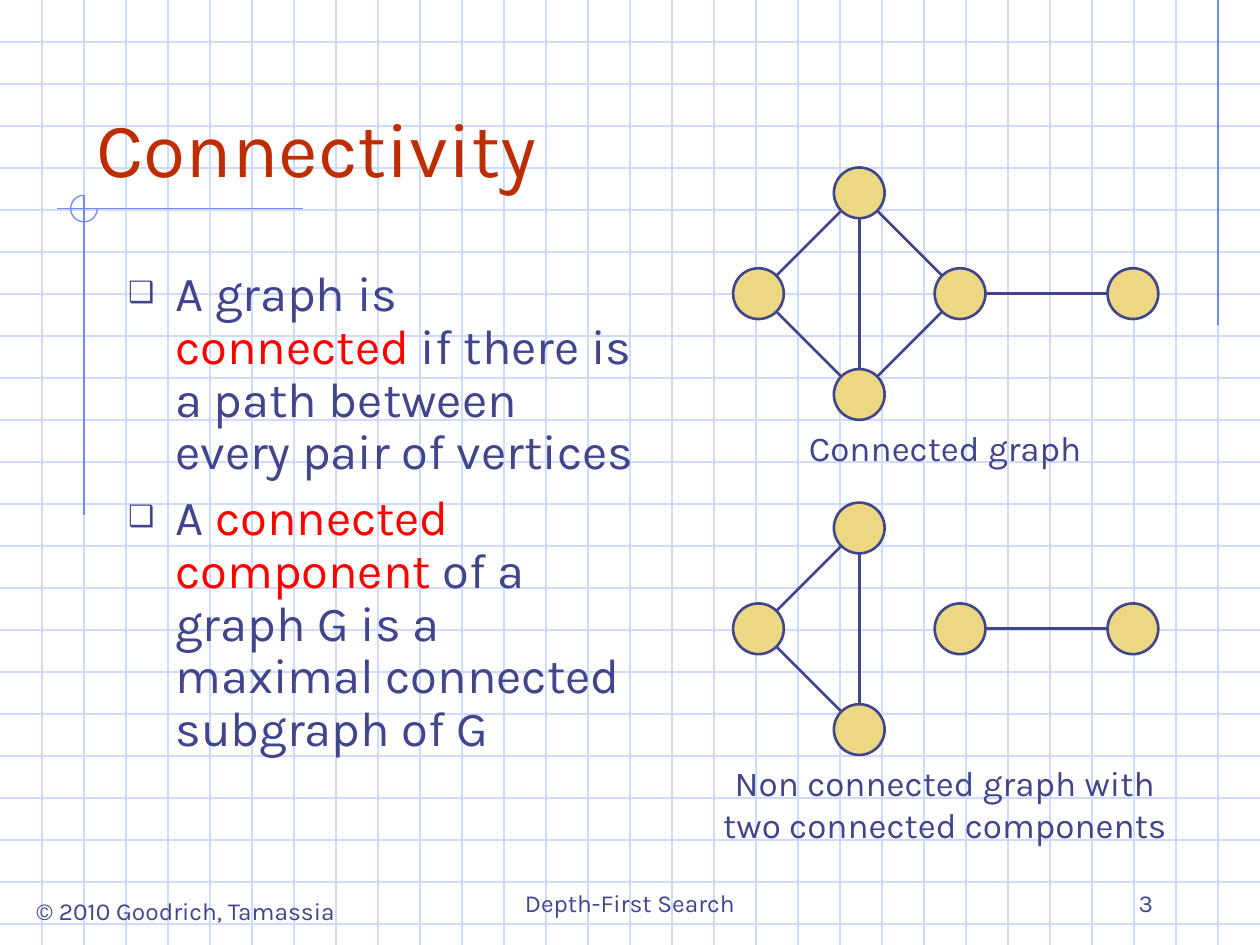
import math

import pptx
import pptx.util
from pptx.dml.color import RGBColor
from pptx.enum.shapes import MSO_CONNECTOR, MSO_SHAPE
from pptx.enum.text import MSO_ANCHOR, MSO_AUTO_SIZE, PP_ALIGN
from pptx.oxml.ns import qn
from lxml import etree

Pt = pptx.util.Pt

INK = RGBColor(0x40, 0x45, 0x8C)
TITLE_RED = RGBColor(0xBE, 0x2D, 0x00)
TERM_RED = RGBColor(0xFF, 0x00, 0x00)
GRID_BLUE = RGBColor(0xCF, 0xDB, 0xFD)
ACCENT_BLUE = RGBColor(0x6F, 0x89, 0xF7)
VERTEX_GOLD = RGBColor(0xEC, 0xD8, 0x82)
FONT = "Karla"

WIDTH, HEIGHT, GRID_STEP = 720, 540, 24

TITLE = "Connectivity"
# Each bullet is a list of (text, colour) runs.
BULLETS = [
    [("A graph is ", INK), ("connected", TERM_RED),
     (" if there is a path between every pair of vertices", INK)],
    [("A ", INK), ("connected component", TERM_RED),
     (" of a graph G is a maximal connected subgraph of G", INK)],
]

ACCENT_LINES = [
    ((696, 0), (696, 186)),
    ((173, 119.3), (32.4, 119.3)),
    ((48, 111.6), (48, 294.5)),
]
ACCENT_CENTRE, ACCENT_RADIUS = (48, 119.2), 7.6

RADIUS = 14.5
VERTICES = {
    "right": (548.6, 167.8),
    "left": (433.4, 167.8),
    "top": (491, 110.2),
    "bottom": (491, 225.4),
    "far": (647.4, 167.8),
}
# (vertical offset, edges)
GRAPHS = [
    (0, [("top", "left"), ("bottom", "left"), ("bottom", "right"),
         ("top", "right"), ("top", "bottom"), ("right", "far")]),
    (191.5, [("top", "left"), ("bottom", "left"), ("top", "bottom"),
             ("right", "far")]),
]

MIDDLE = {"alignment": PP_ALIGN.CENTER}
RIGHT = {"alignment": PP_ALIGN.RIGHT}
FOOTER = {"vertical_anchor": MSO_ANCHOR.BOTTOM, "word_wrap": True}
CAPTION = {"word_wrap": True, "auto_size": MSO_AUTO_SIZE.SHAPE_TO_FIT_TEXT}
# (text, (left, top, width, height), size, frame format, paragraph format)
LABELS = [
    ("© 2010 Goodrich, Tamassia", (8.6, 508.3, 195, 24.5), 14,
     {"word_wrap": False}, MIDDLE),
    ("Depth-First Search", (246, 492, 228, 36), 14, FOOTER, MIDDLE),
    ("3", (516, 492, 150, 36), 14, FOOTER, RIGHT),
    ("Connected graph", (427.7, 240, 225, 31.5), 20, CAPTION, MIDDLE),
    ("Non connected graph with two connected components",
     (396.5, 431.5, 287, 55.5), 20, CAPTION, MIDDLE),
]


def apply(target, formats):
    for name, value in formats.items():
        setattr(target, name, value)


def place(shape, box):
    apply(shape, dict(zip(("left", "top", "width", "height"), map(Pt, box))))


def add_run(paragraph, text, size, colour):
    run = paragraph.add_run()
    run.text = text
    apply(run.font, {"name": FONT, "size": Pt(size)})
    run.font.color.rgb = colour


def add_line(slide, start, end, colour, weight):
    line = slide.shapes.add_connector(
        MSO_CONNECTOR.STRAIGHT, *map(Pt, (*start, *end)))
    line.line.color.rgb = colour
    line.line.width = Pt(weight)
    etree.SubElement(line._element.spPr, qn("a:effectLst"))


def add_round(slide, preset, centre, radius, colour, weight):
    x, y = centre
    shape = slide.shapes.add_shape(
        preset, *map(Pt, (x - radius, y - radius, 2 * radius, 2 * radius)))
    shape.shadow.inherit = False
    shape.line.color.rgb = colour
    shape.line.width = Pt(weight)
    return shape


def add_background(slide):
    for y in range(GRID_STEP, HEIGHT, GRID_STEP):
        add_line(slide, (0, y), (WIDTH, y), GRID_BLUE, 0.75)
    for x in range(GRID_STEP, WIDTH, GRID_STEP):
        add_line(slide, (x, 0), (x, HEIGHT), GRID_BLUE, 0.75)
    for start, end in ACCENT_LINES:
        add_line(slide, start, end, ACCENT_BLUE, 0.75)
    arc = add_round(slide, MSO_SHAPE.ARC, ACCENT_CENTRE, ACCENT_RADIUS,
                    ACCENT_BLUE, 0.75)
    arc.fill.background()
    # Clockwise from 0 to 270 degrees, in units of 5/3 degree.
    arc.adjustments[0], arc.adjustments[1] = 0, 162


def add_bullet_mark(paragraph):
    properties = paragraph._p.get_or_add_pPr()
    properties.set("marL", str(Pt(27)))
    properties.set("indent", str(-Pt(27)))
    colour = etree.SubElement(properties, qn("a:buClr"))
    etree.SubElement(colour, qn("a:srgbClr"), val=str(INK))
    etree.SubElement(properties, qn("a:buSzPct"), val="60000")
    etree.SubElement(properties, qn("a:buChar"), char="❑")


def fill_placeholders(slide):
    title, body = slide.shapes.title, slide.placeholders[1]
    place(title, (48, 24, 612, 90))
    place(body, (66, 150, 308, 324))
    for holder, anchor in ((title, MSO_ANCHOR.BOTTOM), (body, MSO_ANCHOR.TOP)):
        apply(holder.text_frame, {"vertical_anchor": anchor, "word_wrap": True,
                                  "auto_size": MSO_AUTO_SIZE.NONE})
        slide.shapes._spTree.append(holder._element)  # in front of the grid

    heading = title.text_frame.paragraphs[0]
    heading.alignment = PP_ALIGN.LEFT
    add_run(heading, TITLE, 44, TITLE_RED)

    for index, runs in enumerate(BULLETS):
        frame = body.text_frame
        paragraph = frame.add_paragraph() if index else frame.paragraphs[0]
        apply(paragraph, {"line_spacing": 0.9, "space_before": Pt(7)})
        add_bullet_mark(paragraph)
        for text, colour in runs:
            add_run(paragraph, text, 28, colour)


def add_graph(slide, offset, edges):
    centres = {name: (x, y + offset) for name, (x, y) in VERTICES.items()}
    for centre in centres.values():
        vertex = add_round(slide, MSO_SHAPE.OVAL, centre, RADIUS, INK, 1.5)
        vertex.fill.solid()
        vertex.fill.fore_color.rgb = VERTEX_GOLD
    for first, second in edges:
        (x1, y1), (x2, y2) = centres[first], centres[second]
        share = RADIUS / math.hypot(x2 - x1, y2 - y1)
        dx, dy = (x2 - x1) * share, (y2 - y1) * share
        add_line(slide, (x1 + dx, y1 + dy), (x2 - dx, y2 - dy), INK, 1.5)


def add_label(slide, text, box, size, frame_format, paragraph_format):
    frame = slide.shapes.add_textbox(*map(Pt, box)).text_frame
    apply(frame, frame_format)
    apply(frame.paragraphs[0], paragraph_format)
    add_run(frame.paragraphs[0], text, size, INK)


def main():
    deck = pptx.Presentation()
    apply(deck, {"slide_width": Pt(WIDTH), "slide_height": Pt(HEIGHT)})
    slide = deck.slides.add_slide(deck.slide_layouts[1])
    add_background(slide)
    fill_placeholders(slide)
    for offset, edges in GRAPHS:
        add_graph(slide, offset, edges)
    for label in LABELS:
        add_label(slide, *label)
    deck.save("out.pptx")


if __name__ == "__main__":
    main()
